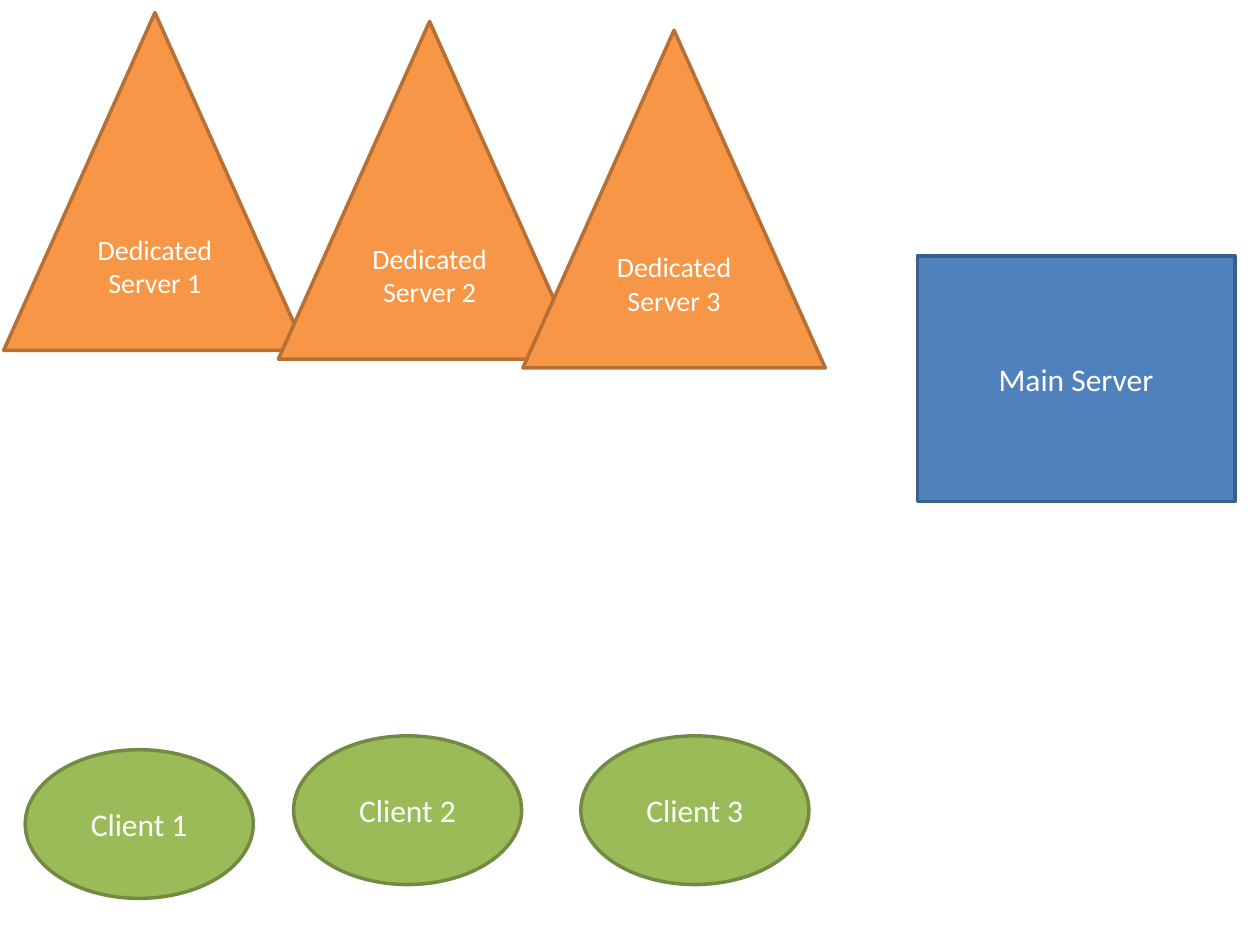
"""Build a slide of a main server, dedicated servers and clients."""
from pptx import Presentation
from pptx.dml.color import RGBColor
from pptx.enum import shapes, text
from pptx.util import Inches, Pt

WHITE = RGBColor(0xFF, 0xFF, 0xFF)
BLUE = RGBColor(0x4F, 0x81, 0xBD)
NAVY = RGBColor(0x3A, 0x5F, 0x8C)
GREEN = RGBColor(0x9B, 0xBB, 0x59)
OLIVE = RGBColor(0x73, 0x8A, 0x42)
ORANGE = RGBColor(0xF7, 0x96, 0x46)
BROWN = RGBColor(0xB7, 0x6F, 0x34)

deck = Presentation()
deck.slide_width, deck.slide_height = Inches(10), Inches(7.5)
slide = deck.slides.add_slide(deck.slide_layouts[6])


def add_node(kind, label, left, top, width, height, fill, edge, size):
    node = slide.shapes.add_shape(
        kind, Inches(left), Inches(top), Inches(width), Inches(height))
    node.shadow.inherit = False
    node.fill.solid()
    node.fill.fore_color.rgb = fill
    node.line.color.rgb = edge
    node.line.width = Pt(2)
    frame = node.text_frame
    frame.text = label
    frame.word_wrap = True
    frame.vertical_anchor = text.MSO_ANCHOR.MIDDLE
    para = frame.paragraphs[0]
    para.alignment = text.PP_ALIGN.CENTER
    font = para.runs[0].font
    font.name, font.size = "Calibri", Pt(size)
    font.color.rgb = WHITE


kinds = shapes.MSO_SHAPE
add_node(kinds.RECTANGLE, "Main Server", 7.28, 2.03, 2.52, 1.95, BLUE, NAVY, 18)

clients = [(0.2, 5.95), (2.33, 5.84), (4.61, 5.84)]
for num, (left, top) in enumerate(clients, 1):
    add_node(kinds.OVAL, f"Client {num}", left, top, 1.81, 1.18, GREEN, OLIVE, 18)

for num, left in enumerate([0.03, 2.21, 4.15], 1):
    add_node(kinds.ISOSCELES_TRIANGLE, f"Dedicated Server {num}",
             left, 0.03 + 0.07 * num, 2.4, 2.68, ORANGE, BROWN, 16)

deck.save("out.pptx")
